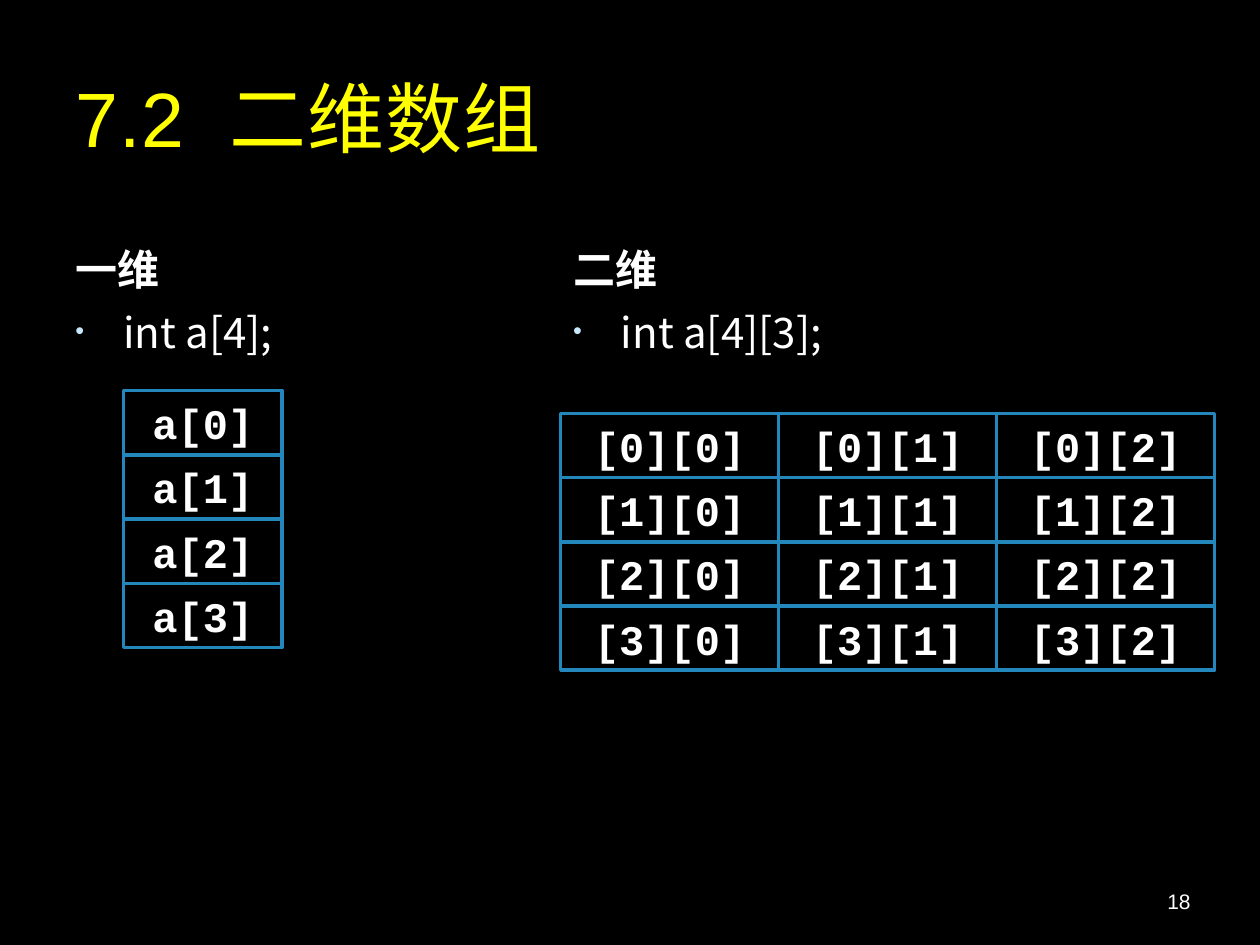
from lxml import etree
from pptx import Presentation
from pptx.dml.color import RGBColor
from pptx.enum.shapes import MSO_SHAPE
from pptx.enum.text import MSO_ANCHOR, PP_ALIGN
from pptx.oxml.ns import qn
from pptx.util import Inches, Pt

RECT = MSO_SHAPE.RECTANGLE
TOP, MIDDLE, BOTTOM = MSO_ANCHOR.TOP, MSO_ANCHOR.MIDDLE, MSO_ANCHOR.BOTTOM
LEFT, CENTER, RIGHT = PP_ALIGN.LEFT, PP_ALIGN.CENTER, PP_ALIGN.RIGHT

BLACK = RGBColor(0x00, 0x00, 0x00)
WHITE = RGBColor(0xFF, 0xFF, 0xFF)
YELLOW = RGBColor(0xFF, 0xFF, 0x00)
BLUE = RGBColor(0x24, 0x87, 0xBB)
PALE = RGBColor(0xC6, 0xE7, 0xFC)

SANS, CODE, HAN = "Arial", "Courier New", "Noto Sans CJK SC"


def write(shape, text, size, face, color=WHITE, bold=False, align=LEFT,
          anchor=MIDDLE):
    """Put one styled paragraph into a shape and return it."""
    frame = shape.text_frame
    frame.word_wrap = True
    frame.vertical_anchor = anchor
    para = frame.paragraphs[0]
    para.text = text
    para.alignment = align
    font = para.font
    font.size, font.name, font.bold = Pt(size), face, bold
    font.color.rgb = color
    # East Asian glyphs need a typeface of their own
    props = para.runs[0].font
    props.name = face
    latin = para.runs[0]._r.rPr.find(qn("a:latin"))
    east = etree.Element(qn("a:ea"), typeface=HAN)
    latin.addnext(east)
    return para


def add_text(slide, x, y, w, h, *args, **style):
    box = slide.shapes.add_textbox(Inches(x), Inches(y), Inches(w), Inches(h))
    return write(box, *args, **style)


def add_bullet(para):
    props = para._p.get_or_add_pPr()
    indent = Inches(0.38)
    props.set("marL", str(indent))
    props.set("indent", str(-indent))
    color = etree.SubElement(props, qn("a:buClr"))
    etree.SubElement(color, qn("a:srgbClr"), val=str(PALE))
    etree.SubElement(props, qn("a:buSzPct"), val="60000")
    etree.SubElement(props, qn("a:buFont"), typeface=SANS)
    etree.SubElement(props, qn("a:buChar"), char="•")
    # Paragraph defaults come last in the schema order
    props.append(props.find(qn("a:defRPr")))


def add_column(slide, x, y, head, code):
    """Heading with one bulleted declaration below it."""
    width, drop = 4.42, 0.7
    title = add_text(slide, x, y, width, drop, head, 24, HAN,
                     bold=True, anchor=BOTTOM)
    item = add_text(slide, x, y + drop, width, 4.32, code, 24, HAN, anchor=TOP)
    for para in (title, item):
        para.space_before = Pt(4.8)
    add_bullet(item)


def add_grid(slide, x, y, w, h, rows):
    """Grouped cells, all w by h, one for each label."""
    group = slide.shapes.add_group_shape()
    for r, row in enumerate(rows):
        for c, label in enumerate(row):
            cell = group.shapes.add_shape(
                RECT, Inches(x + c * w), Inches(y + r * h),
                Inches(w), Inches(h))
            cell.shadow.inherit = False
            cell.fill.background()
            cell.line.color.rgb = BLUE
            cell.line.width = Pt(2)
            write(cell, label, 24, CODE, bold=True, align=CENTER)


def add_number(slide, x, y, w, h, text):
    box = slide.shapes.add_textbox(Inches(x), Inches(y), Inches(w), Inches(h))
    frame = box.text_frame
    frame.margin_left = frame.margin_right = Inches(0.05)
    write(box, text, 12, SANS, align=RIGHT)


def main():
    deck = Presentation()
    deck.slide_width, deck.slide_height = Inches(10), Inches(7.5)
    slide = deck.slides.add_slide(deck.slide_layouts[6])
    fill = slide.background.fill
    fill.solid()
    fill.fore_color.rgb = BLACK

    # Title
    title = add_text(slide, 0.5, 0.3, 8.5, 1.25, "7.2  二维数组", 44, SANS,
                     color=YELLOW)
    title.runs[0]._r.rPr.set("spc", "50")

    # One dimension, two dimensions
    add_column(slide, 0.5, 1.68, "一维", "int a[4];")
    add_column(slide, 4.45, 1.68, "二维", "int a[4][3];")

    # Array cells
    add_grid(slide, 0.98, 3.1, 1.26, 0.51, [[f"a[{i}]"] for i in range(4)])
    add_grid(slide, 4.45, 3.28, 1.73, 0.51,
             [[f"[{i}][{j}]" for j in range(3)] for i in range(4)])

    # Slide number
    add_number(slide, 7.17, 6.95, 2.33, 0.4, "18")

    deck.save("out.pptx")


if __name__ == "__main__":
    main()
